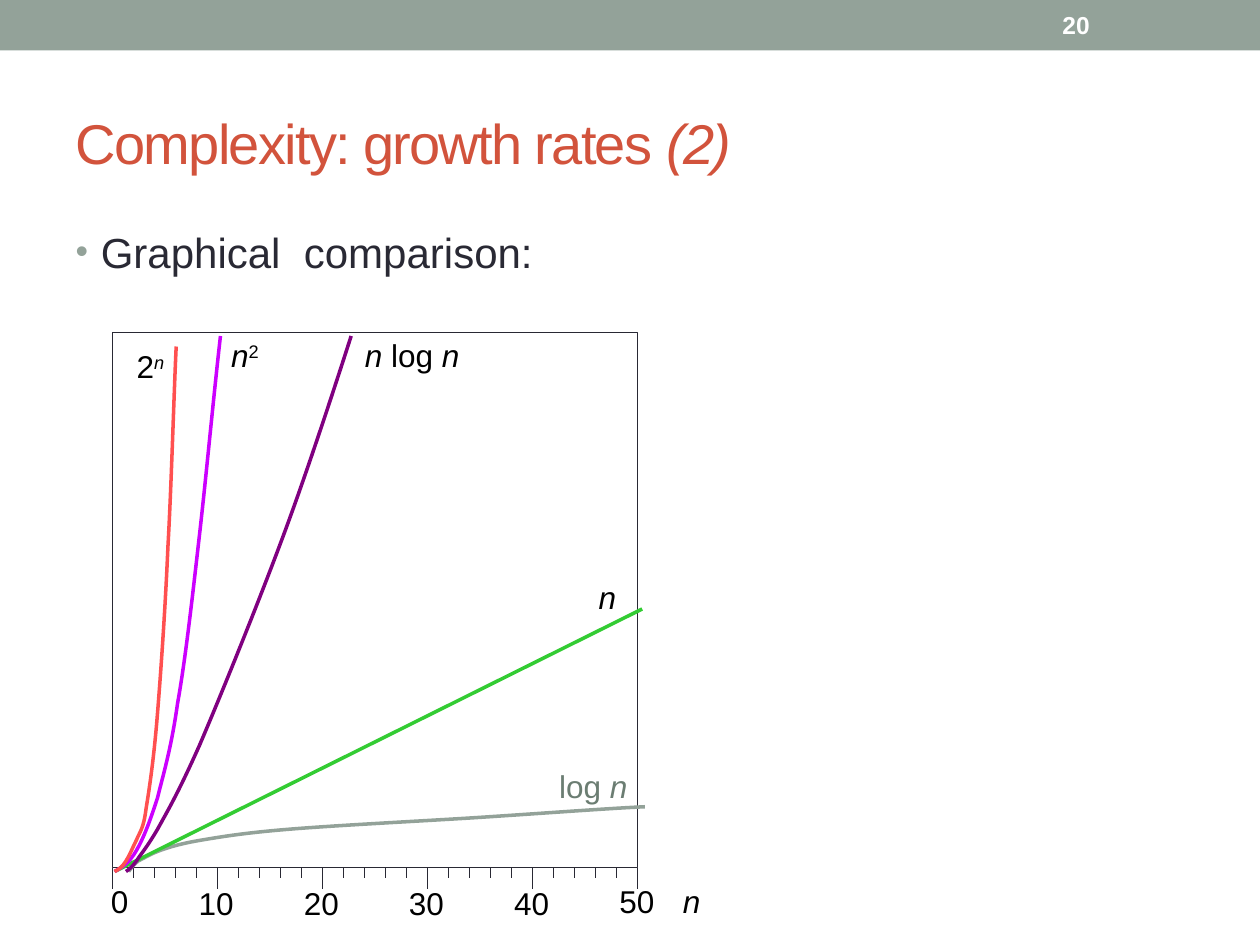
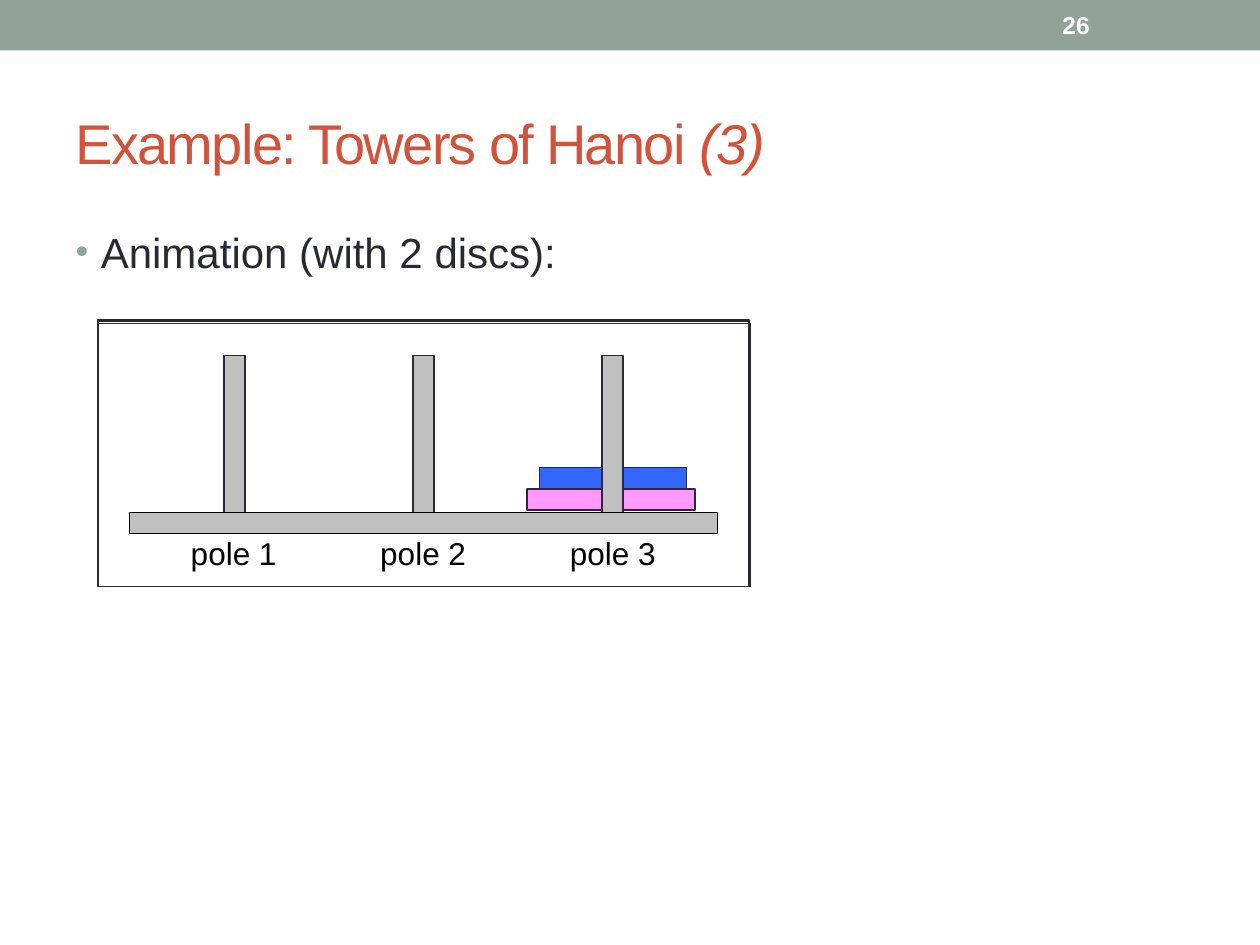
"""Build two lecture slides: growth-rate curves and the Towers of Hanoi."""
from lxml import etree
from pptx import Presentation
from pptx.dml.color import RGBColor
from pptx.enum import shapes, text
from pptx.oxml import ns
from pptx.util import Pt

SAGE = RGBColor(0x93, 0xA2, 0x99)
MOSS = RGBColor(0x6B, 0x7D, 0x72)
RUST = RGBColor(0xD2, 0x53, 0x3C)
INK = RGBColor(0x29, 0x29, 0x34)
BLACK = RGBColor(0, 0, 0)
WHITE = RGBColor(255, 255, 255)
GREY = RGBColor(0xC0, 0xC0, 0xC0)
PINK = RGBColor(0xFF, 0x99, 0xFF)
BLUE = RGBColor(0x33, 0x66, 0xFF)
GREEN = RGBColor(0x33, 0xCC, 0x33)
PURPLE = RGBColor(0x80, 0, 0x80)
VIOLET = RGBColor(0xCC, 0, 0xFF)
CORAL = RGBColor(0xFF, 0x50, 0x50)

FONT = "Arial"
LEFT, CENTER, RIGHT = text.PP_ALIGN.LEFT, text.PP_ALIGN.CENTER, text.PP_ALIGN.RIGHT
PLOT_X, PLOT_Y, PLOT_W, PLOT_H = 64.15, 189.9, 300, 306
TICK = 12

LOG = [(73.5, 498), (75, 496), (76.5, 494), (79, 492), (83, 490), (86, 488),
       (91.5, 486), (97, 484), (103.5, 482), (115.5, 480), (127.5, 478),
       (139.5, 476), (163.5, 474), (187.5, 472), (225.5, 470), (259.5, 468),
       (293.5, 466), (345.5, 462), (368.5, 461)]
N_LOG = [(72, 498), (73.5, 497), (75, 496), (78, 492), (80.5, 488), (83.5, 485),
         (90, 474), (96, 463), (101.5, 454), (114, 426), (126, 398), (147.5, 345),
         (162, 306), (176.5, 267), (193, 216), (200.7, 192)]
SQUARE = [(65.5, 498), (70, 495.5), (74, 493), (78, 486), (82, 479), (85.5, 470),
          (90, 456), (93.5, 442), (98, 427), (101.5, 402), (106, 377), (110, 341),
          (114, 306), (118, 271), (121.5, 232), (126, 192)]
POWER = [(65.5, 498), (67.5, 497), (70, 495.5), (72, 492), (74, 489), (75.5, 485),
         (78, 480), (80, 475), (82, 474), (83.5, 462), (85.5, 450), (88, 433),
         (90, 408), (92, 383), (94.5, 347), (96, 312), (98, 277), (99.5, 222),
         (100.7, 198)]


def place(shape, x, y, w, h):
    """Move and size a shape."""
    shape.left, shape.top, shape.width, shape.height = Pt(x), Pt(y), Pt(w), Pt(h)


def write(para, parts, size, color, align=LEFT, bold=False):
    """Fill a paragraph with (words, style) parts; style: i italic, u raised."""
    para.alignment = align
    for words, style in parts:
        run = para.add_run()
        run.text = words
        font = run.font
        font.name, font.size, font.bold = FONT, Pt(size), bold
        font.italic = "i" in style
        font.color.rgb = color
        if "u" in style:
            run._r.get_or_add_rPr().set("baseline", "30000")


def label(slide, x, y, w, parts, color=BLACK, align=LEFT):
    """Add a tight text label; right-aligned ones do not wrap."""
    frame = slide.shapes.add_textbox(Pt(x), Pt(y), Pt(w), Pt(21.6)).text_frame
    frame.margin_left = frame.margin_right = 0
    frame.margin_top = frame.margin_bottom = 0
    frame.word_wrap = align != RIGHT
    frame.auto_size = text.MSO_AUTO_SIZE.SHAPE_TO_FIT_TEXT
    write(frame.paragraphs[0], parts, 18, color, align)


def box(slide, x, y, w, h, fill, edge=INK):
    """Add a flat rectangle."""
    rect = slide.shapes.add_shape(shapes.MSO_SHAPE.RECTANGLE, Pt(x), Pt(y), Pt(w), Pt(h))
    rect.shadow.inherit = False
    rect.fill.solid()
    rect.fill.fore_color.rgb = fill
    if edge is None:
        rect.line.fill.background()
    else:
        rect.line.color.rgb = edge
        rect.line.width = Pt(0.75)
    return rect


def line(slide, x1, y1, x2, y2, color=INK, width=0.75):
    """Add a straight line without shadow."""
    link = slide.shapes.add_connector(
        shapes.MSO_CONNECTOR.STRAIGHT, Pt(x1), Pt(y1), Pt(x2), Pt(y2))
    link.line.color.rgb = color
    link.line.width = Pt(width)
    etree.SubElement(link._element.spPr, ns.qn("a:effectLst"))


def curve(slide, knots, color):
    """Draw a freeform whose knots form a chain of cubic Bezier arcs."""
    dots = [(Pt(x), Pt(y)) for x, y in knots]
    pen = slide.shapes.build_freeform(*dots[0])
    pen.add_line_segments(dots[1:], close=False)
    shape = pen.convert_to_shape()
    shape.shadow.inherit = False
    shape.fill.background()
    shape.line.color.rgb = color
    shape.line.width = Pt(2)
    legs = list(shape._element.iter(ns.qn("a:lnTo")))
    for k in range(0, len(legs), 3):
        arc = etree.Element(ns.qn("a:cubicBezTo"))
        legs[k].addprevious(arc)
        for leg in legs[k:k + 3]:
            arc.append(leg[0])
            leg.getparent().remove(leg)


def bullet(para):
    """Give a paragraph the sage dot and hanging indent."""
    props = para._p.get_or_add_pPr()
    props.set("marL", str(Pt(14.4)))
    props.set("indent", str(-Pt(14.4)))
    tint = etree.SubElement(props, ns.qn("a:buClr"))
    etree.SubElement(tint, ns.qn("a:srgbClr")).set("val", str(SAGE))
    etree.SubElement(props, ns.qn("a:buSzPct")).set("val", "85000")
    etree.SubElement(props, ns.qn("a:buFont")).set("typeface", FONT)
    etree.SubElement(props, ns.qn("a:buChar")).set("char", "•")
    para.space_before = Pt(0)


def start(deck, head, part, lead):
    """Add a slide with title and lead bullet."""
    slide = deck.slides.add_slide(deck.slide_layouts[1])
    title, body = slide.placeholders
    place(title, 36, 42, 648, 78)
    title.text_frame.vertical_anchor = text.MSO_ANCHOR.MIDDLE
    para = title.text_frame.paragraphs[0]
    write(para, [(head + " ", ""), (part, "i")], 32, RUST)
    for run in para.runs:
        run._r.get_or_add_rPr().set("spc", "-100")
    place(body, 36, 125.8, 648, 384)
    para = body.text_frame.paragraphs[0]
    bullet(para)
    write(para, [(lead, "")], 24, INK)
    return slide


def page(slide, number):
    """Write the page number on the band."""
    frame = slide.shapes.add_textbox(Pt(600), Pt(1.2), Pt(84), Pt(26)).text_frame
    frame.word_wrap = True
    frame.vertical_anchor = text.MSO_ANCHOR.MIDDLE
    write(frame.paragraphs[0], [(str(number), "")], 14, WHITE, bold=True)


def axis(slide):
    """Draw the plot frame with ticks and numbers."""
    box(slide, PLOT_X, PLOT_Y, PLOT_W, PLOT_H, WHITE)
    base = PLOT_Y + PLOT_H
    for i in range(26):
        x = PLOT_X + i * TICK
        line(slide, x, base, x, base + (6 if i % 5 else 12))
    for i in range(6):
        y = 504 if i in (0, 5) else 505.2
        label(slide, 53.2 + 60.1 * i, y, 20.2, [(str(10 * i), "")], align=RIGHT)
    label(slide, 390.2, 504, 10, [("n", "i")], align=RIGHT)


def growth(deck):
    """Build the growth-rate slide."""
    slide = start(deck, "Complexity: growth rates", "(2)", "Graphical  comparison:")
    axis(slide)
    label(slide, 319.5, 438.5, 42.5, [("log ", ""), ("n", "i")], MOSS)
    curve(slide, LOG, SAGE)
    label(slide, 342, 330.5, 13, [("n", "i")])
    line(slide, 65.5, 498, 367, 348, GREEN, 2)
    curve(slide, N_LOG, PURPLE)
    label(slide, 208.5, 192, 60, [("n", "i"), (" log ", ""), ("n", "i")])
    label(slide, 132, 192, 18, [("n", "i"), ("2", "u")])
    curve(slide, SQUARE, VIOLET)
    curve(slide, POWER, CORAL)
    label(slide, 78, 198.3, 18, [("2", ""), ("n", "iu")])
    page(slide, 20)
    return slide


def hanoi(deck):
    """Build the Towers of Hanoi slide."""
    slide = start(deck, "Example: Towers of Hanoi", "(3)", "Animation (with 2 discs):")
    for x, y in ((56, 182.8), (56, 183.6), (57, 185), (56, 185)):
        box(slide, x, y, 372, 150, WHITE)
    box(slide, 301.2, 279.4, 96, 12, PINK)
    box(slide, 308.2, 267, 84, 12, BLUE)
    for i in range(3):
        box(slide, 128 + 108 * i, 203, 12, 96, GREY)
        label(slide, 104 + 108.3 * i, 305.1, 59, [(f"pole {i + 1}", "")], align=CENTER)
    box(slide, 74, 293, 336, 12, GREY, BLACK)
    page(slide, 26)


def main():
    """Make the deck and save it."""
    deck = Presentation()
    deck.slide_width, deck.slide_height = Pt(720), Pt(540)
    first = growth(deck)
    hanoi(deck)
    band = box(first, 0, 0, 720, 28.8, SAGE, None)
    deck.slide_master.shapes.element.insert(2, band.element)
    deck.save("out.pptx")


if __name__ == "__main__":
    main()
